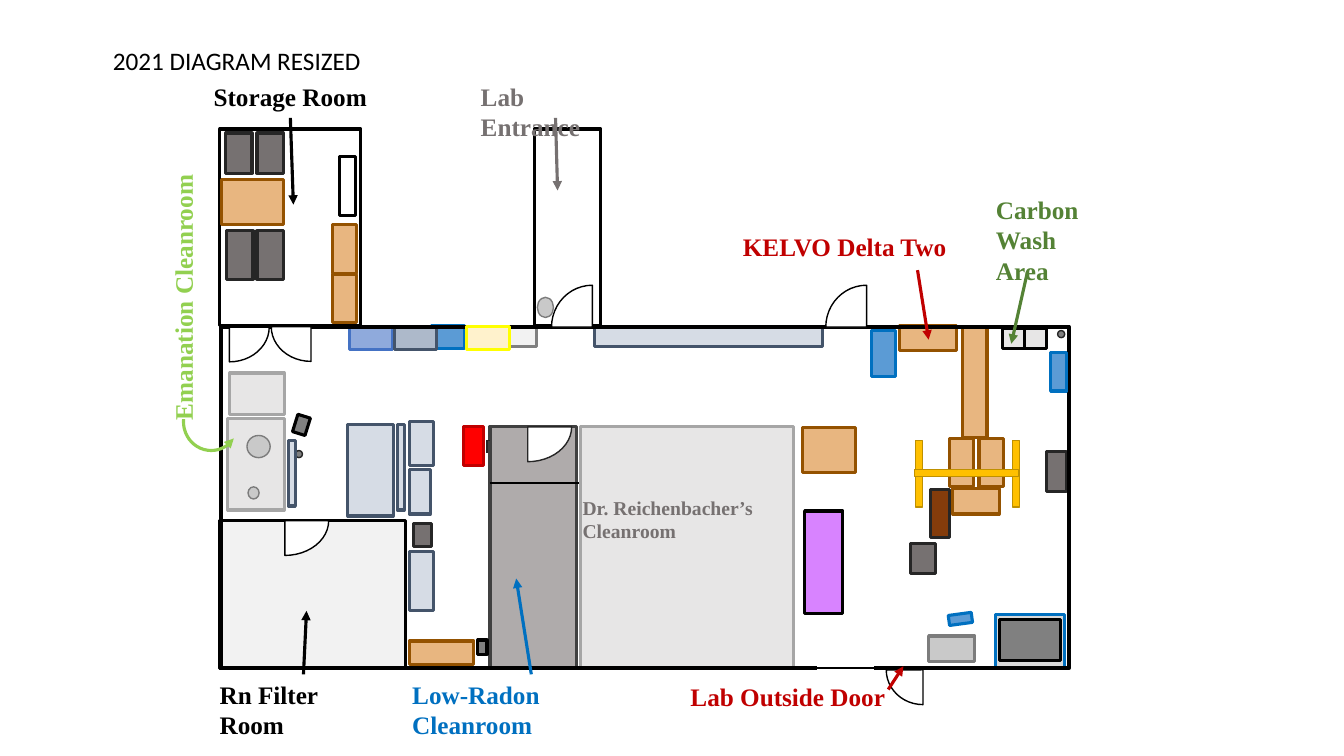
import pptx
import pptx.util
import pptx.dml.color
import pptx.enum.shapes
import pptx.enum.text
import pptx.oxml

Pt = pptx.util.Pt
RGB = pptx.dml.color.RGBColor
SHAPE = pptx.enum.shapes.MSO_SHAPE
CELL = pptx.util.Inches(0.01)  # grid cell; every position below counts cells

BLACK, WHITE, INK = RGB(0, 0, 0), RGB(255, 255, 255), RGB(0x26, 0x26, 0x26)
GREY, DIM, STEEL = RGB(0x80, 0x80, 0x80), RGB(0x76, 0x71, 0x71), RGB(0x7C, 0x7C, 0x7C)
MIST, PALE, SILVER = RGB(0xE7, 0xE6, 0xE6), RGB(0xF2, 0xF2, 0xF2), RGB(0xC9, 0xC9, 0xC9)
ASH, EDGE, CHARCOAL = RGB(0xAF, 0xAB, 0xAB), RGB(0xA6, 0xA6, 0xA6), RGB(0x40, 0x40, 0x40)
TAN, BROWN, RUST = RGB(0xE8, 0xB6, 0x80), RGB(0x94, 0x52, 0x00), RGB(0x84, 0x3C, 0x0B)
ICE, SLATE, FOG = RGB(0xD6, 0xDC, 0xE5), RGB(0x44, 0x54, 0x6A), RGB(0xAD, 0xB9, 0xCA)
SKY, BLUE = RGB(0x5B, 0x9B, 0xD5), RGB(0x00, 0x70, 0xC0)
PERIWINKLE, ROYAL = RGB(0x8F, 0xAA, 0xDC), RGB(0x44, 0x72, 0xC4)
GOLD, OCHRE = RGB(0xFF, 0xC0, 0x00), RGB(0xBF, 0x90, 0x00)
CREAM, YELLOW = RGB(0xFF, 0xF2, 0xCC), RGB(0xFF, 0xFF, 0x00)
RED, CRIMSON, PURPLE = RGB(0xFF, 0, 0), RGB(0xC0, 0, 0), RGB(0xD8, 0x83, 0xFF)
LIME, GREEN, LIGHT = RGB(0x92, 0xD0, 0x50), RGB(0x54, 0x82, 0x35), RGB(0xD9, 0xD9, 0xD9)

# fill, line colour, line width
WOOD, BENCH, CHAIR = (TAN, BROWN, 2.25), (ICE, SLATE, 2.25), (DIM, INK, 2.25)
SOFT, TANK, BOXED = (MIST, EDGE, 2.25), (SKY, BLUE, 2.25), (GREY, BLACK, 2.25)
ROOM, BEAM = (WHITE, BLACK, 2.25), (GOLD, OCHRE, 1)
VESSEL, KNOB = (SILVER, STEEL, 1), (GREY, INK, 1)

# start angle of the quarter circle each door sweeps
LOWER_RIGHT, LOWER_LEFT, UPPER_LEFT = 0, 90, 180


def cells(*counts):
    return [round(count * CELL) for count in counts]


def paint(shape, style):
    fill, line, width = style
    shape.shadow.inherit = False
    if fill is None:
        shape.fill.background()
    else:
        shape.fill.solid()
        shape.fill.fore_color.rgb = fill
    shape.line.color.rgb = line
    shape.line.width = Pt(width)


def place(slide, box, part, style, kind=SHAPE.RECTANGLE):
    """Add one part (left, top, width, height[, rotation]) relative to box."""
    left, top, width, height, *turn = part
    shape = slide.shapes.add_shape(kind, *cells(box[0] + left, box[1] + top, width, height))
    shape.rotation = turn[0] if turn else 0
    paint(shape, style)
    return shape


def furnish(slide, box, groups):
    for style, parts in groups:
        for part in parts:
            place(slide, box, part, style)


def sweep(shape, start, end):
    """Set the angles of a pie or an arc, in degrees."""
    shape.adjustments[0], shape.adjustments[1] = start * 0.6, end * 0.6


def door(slide, box, hinge, radii, quarter, line=BLACK):
    (x, y), (rx, ry) = hinge, radii
    leaf = place(slide, box, (x - rx, y - ry, 2 * rx, 2 * ry), (WHITE, line, 1), SHAPE.PIE)
    sweep(leaf, quarter, quarter + 90)


def arrowhead(shape, end):
    line = shape.line._get_or_add_ln()
    line.append(pptx.oxml.parse_xml(
        f'<a:{end} xmlns:a="http://schemas.openxmlformats.org/drawingml/2006/main" type="triangle"/>'))


def stroke(slide, box, ends, colour, width):
    x1, y1, x2, y2 = ends
    line = slide.shapes.add_connector(
        pptx.enum.shapes.MSO_CONNECTOR.STRAIGHT,
        *cells(box[0] + x1, box[1] + y1, box[0] + x2, box[1] + y2))
    line.line.color.rgb = colour
    line.line.width = Pt(width)
    line._element.spPr.append(pptx.oxml.parse_xml(
        '<a:effectLst xmlns:a="http://schemas.openxmlformats.org/drawingml/2006/main"/>'))
    return line


def write(shape, text, colour, size=18, name="Times New Roman", bold=True, **frame_format):
    frame = shape.text_frame
    frame.text = text
    frame_format = {"auto_size": pptx.enum.text.MSO_AUTO_SIZE.NONE, "word_wrap": False,
                    "vertical_anchor": pptx.enum.text.MSO_ANCHOR.TOP, **frame_format}
    for attribute, value in frame_format.items():
        setattr(frame, attribute, value)
    paragraph = frame.paragraphs[0]
    paragraph.alignment = pptx.enum.text.PP_ALIGN.LEFT
    font = paragraph.runs[0].font
    for attribute, value in {"size": Pt(size), "name": name, "bold": bold}.items():
        setattr(font, attribute, value)
    font.color.rgb = colour


def heading(slide, box):
    title = slide.shapes.title
    title.left, title.top, title.width, title.height = cells(*box)
    write(title, "2021 DIAGRAM RESIZED", BLACK, name="Calibri", bold=False)


def entrance(slide, box):
    place(slide, box, (0, 0, *box[2:]), ROOM)


def filter_room(slide, box):
    place(slide, box, (0, 0, *box[2:]), (PALE, BLACK, 2.25))
    door(slide, box, (64.5, 0.5), (43.5, 34.5), LOWER_RIGHT)


def low_radon_cleanroom(slide, box):
    place(slide, box, (0, 0, *box[2:]), (ASH, CHARCOAL, 2.25))
    door(slide, box, (37.5, 0.5), (43.5, 34.5), LOWER_RIGHT, INK)
    for ends, colour in (((0, 14, -3, 14), INK), ((-3, 26, -3, 14), INK), ((0, 56, 88, 56), BLACK)):
        stroke(slide, box, ends, colour, 1)


def named_cleanroom(slide, box):
    place(slide, box, (0, 0, *box[2:]), SOFT)
    label = slide.shapes.add_textbox(*cells(box[0] - 8, box[1] + 64, 194, 57))
    write(label, "Dr. Reichenbacher’s Cleanroom", DIM, size=14, word_wrap=True)


def back_wall(slide, box):
    furnish(slide, box, [
        (BENCH, [(371, 0, 226, 20)]), ((PERIWINKLE, ROYAL, 2.25), [(128, 0, 42, 23)]),
        ((PALE, GREY, 2.25), [(275, 1, 38, 19)]), (TANK, [(209, -1, 33, 23)]),
        ((FOG, SLATE, 2.25), [(172, 0, 42, 23)]), (WOOD, [(673, -1, 57, 25)])])


def emanation_cleanroom(slide, box):
    furnish(slide, box, [(SOFT, [(0, 45, 56, 91), (2, 0, 54, 41)]), (BOXED, [(64, 45, 18, 13, 287.3)])])
    for part, style in (((67, 77, 7, 7), KNOB), ((19, 62, 23, 22), VESSEL), ((20, 113, 11, 12), VESSEL)):
        place(slide, box, part, style, SHAPE.OVAL)
    place(slide, box, (60, 67, 7, 65), BENCH)


def aisle(slide, box):
    furnish(slide, box, [
        (WOOD, [(61, 218, 64, 23)]),
        (BENCH, [(61, 129, 24, 59), (61, 48, 21, 44), (49, 3, 7, 85), (0, 3, 45, 91), (61, 0, 24, 44)]),
        (CHAIR, [(65, 101, 18, 23)]), (BOXED, [(129, 217, 9, 14)]),
        ((RED, CRIMSON, 2.25), [(115, 5, 20, 39)])])


def east_side(slide, box):
    furnish(slide, box, [
        (WOOD, [(151, 161, 46, 25), (161, 0, 24, 110), (177, 111, 24, 48), (148, 111, 24, 48),
                (2, 100, 53, 45)]),
        ((SILVER, STEEL, 2.25), [(127, 307, 46, 25)]), ((PURPLE, BLACK, 2.25), [(4, 183, 38, 102)]),
        ((MIST, BLACK, 2.25), [(222, 2, 22, 20), (200, 2, 22, 20)]),
        (CHAIR, [(109, 215, 25, 30), (244, 124, 20, 40)]),
        ((LIGHT, BLUE, 2.25), [(193, 286, 69, 53)]), (BOXED, [(197, 291, 61, 40)]),
        (BEAM, [(114, 113, 7, 66), (210, 113, 7, 66), (113, 142, 103, 7)]),
        ((RUST, INK, 2.25), [(129, 162, 19, 47)]), (TANK, [(147, 285, 23, 10, 172.3)])])
    place(slide, box, (255, 4, 7, 7), KNOB, SHAPE.OVAL)


def outer_walls(slide, box):
    place(slide, box, (0, 0, *box[2:]), (None, BLACK, 3))
    stroke(slide, box, (591, 338, 648, 338), WHITE, 4.5)
    stroke(slide, box, (577, 339, 656, 339), BLACK, 1.5)
    for hinge, radii, quarter in (
            ((368.5, 0.5), (40.5, 41.5), UPPER_LEFT), ((640.5, 0.5), (40.5, 41.5), UPPER_LEFT),
            ((8.5, 0.5), (39.5, 34.5), LOWER_RIGHT), ((89.5, 0), (39.5, 34.5), LOWER_LEFT),
            ((696.5, 340.5), (36.5, 34.5), LOWER_LEFT)):
        door(slide, box, hinge, radii, quarter)
    furnish(slide, box, [((CREAM, YELLOW, 2.25), [(244, 0, 42, 23)]),
                         (TANK, [(645, 4, 24, 46), (823, 26, 16, 38)])])
    place(slide, box, (314, -29, 16, 20), VESSEL, SHAPE.OVAL)


def storage_room(slide, box):
    place(slide, box, (0, 0, *box[2:]), ROOM)
    furnish(slide, box, [
        (WOOD, [(112, 144, 24, 48), (112, 95, 24, 48), (2, 50, 61, 45)]),
        (CHAIR, [(7, 101, 26, 48), (37, 101, 26, 48), (6, 4, 26, 40), (37, 4, 26, 40)]),
        ((None, BLACK, 2.25), [(119, 27, 16, 59)])])


def callouts(slide, box):
    """Name the rooms; a right margin, where given, breaks the label."""
    for text, colour, (left, top, width, height), margin, arrow in (
            ("Low-Radon Cleanroom", BLUE, (399, 669, 269, 40), 80, (527, 669, 512, 574)),
            ("Rn Filter Room", BLACK, (208, 669, 187, 40), 50, (301, 669, 304, 606)),
            ("Emanation Cleanroom", LIME, (49, 274, 265, 40), None, None),
            ("Storage Room", BLACK, (202, 76, 172, 40), None, (288, 117, 291, 203)),
            ("Lab Entrance", DIM, (467, 76, 167, 40), 40, (551, 117, 553, 189)),
            ("Lab Outside Door", CRIMSON, (675, 671, 215, 40), None, (881, 684, 896, 661)),
            ("Carbon Wash Area", GREEN, (978, 188, 120, 101), 10, (1019, 270, 1003, 341)),
            ("KELVO Delta Two", CRIMSON, (727, 225, 233, 40), None, (910, 268, 921, 337))):
        label = slide.shapes.add_textbox(*cells(box[0] + left, box[1] + top, width, height))
        wrapping = {"word_wrap": True, "margin_right": margin * CELL} if margin else {}
        write(label, text, colour, **wrapping)
        if arrow:
            arrowhead(stroke(slide, box, arrow, colour, 2.25), "tailEnd")
        else:
            label.rotation = 270
            curve = place(slide, box, (182, 390, 55, 57), (None, colour, 2.25), SHAPE.ARC)
            sweep(curve, 36.4, 185.65)
            arrowhead(curve, "headEnd")


def main():
    deck = pptx.Presentation()
    deck.slide_width, deck.slide_height = cells(1333, 750)
    slide = deck.slides.add_slide(deck.slide_layouts[5])
    building = (219, 324, 841, 339)
    for region, box in (
            (heading, (102, 40, 268, 40)), (entrance, (530, 128, 66, 195)),
            (filter_room, (218, 516, 184, 147)), (low_radon_cleanroom, (486, 423, 86, 240)),
            (named_cleanroom, (576, 423, 211, 240)), (back_wall, building),
            (emanation_cleanroom, (226, 370, 57, 136)), (aisle, (345, 418, 142, 243)),
            (east_side, (794, 324, 265, 339)), (outer_walls, building),
            (storage_room, (218, 128, 140, 195)), (callouts, (0, 0, 1333, 750))):
        region(slide, box)
    deck.save("out.pptx")


if __name__ == "__main__":
    main()
